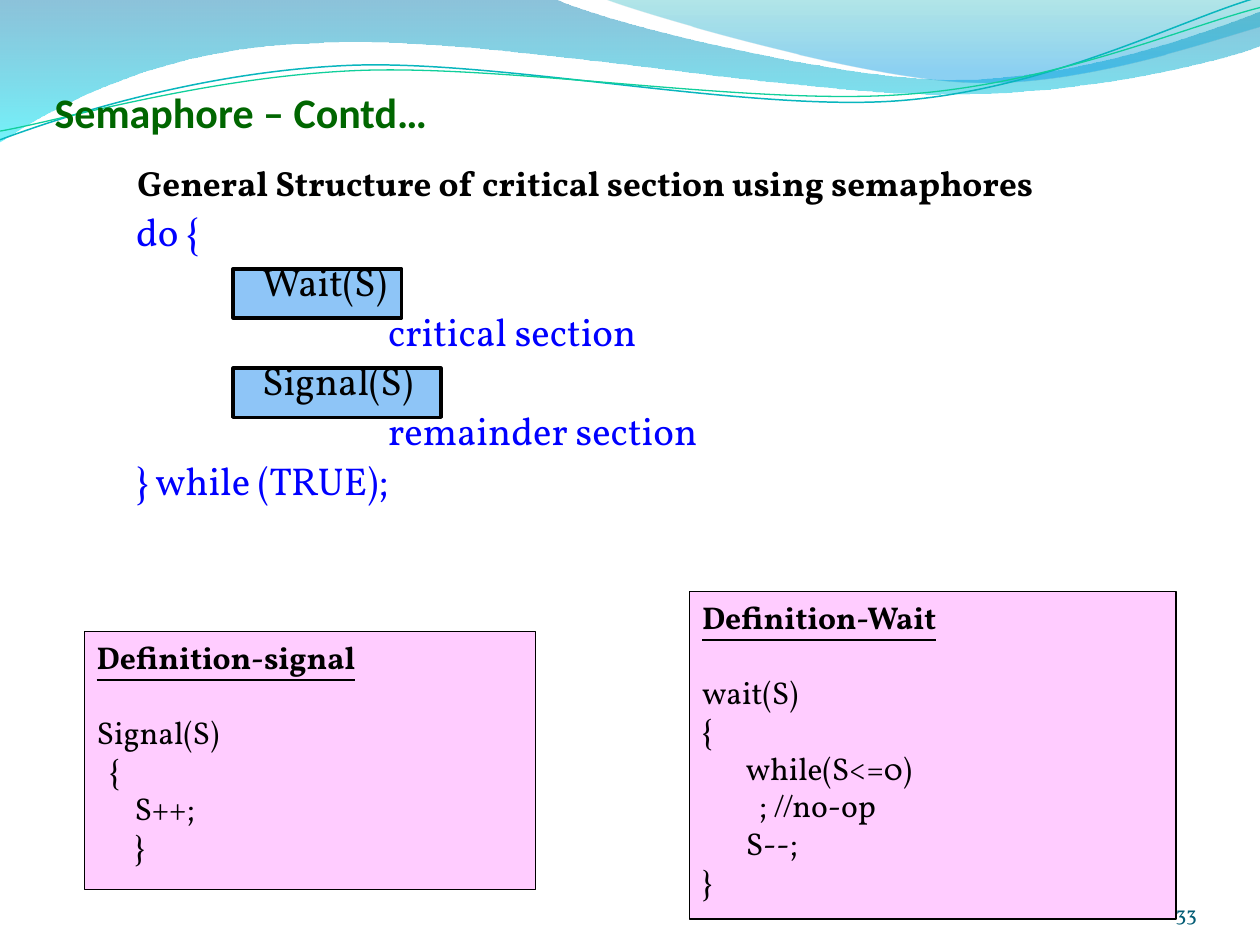
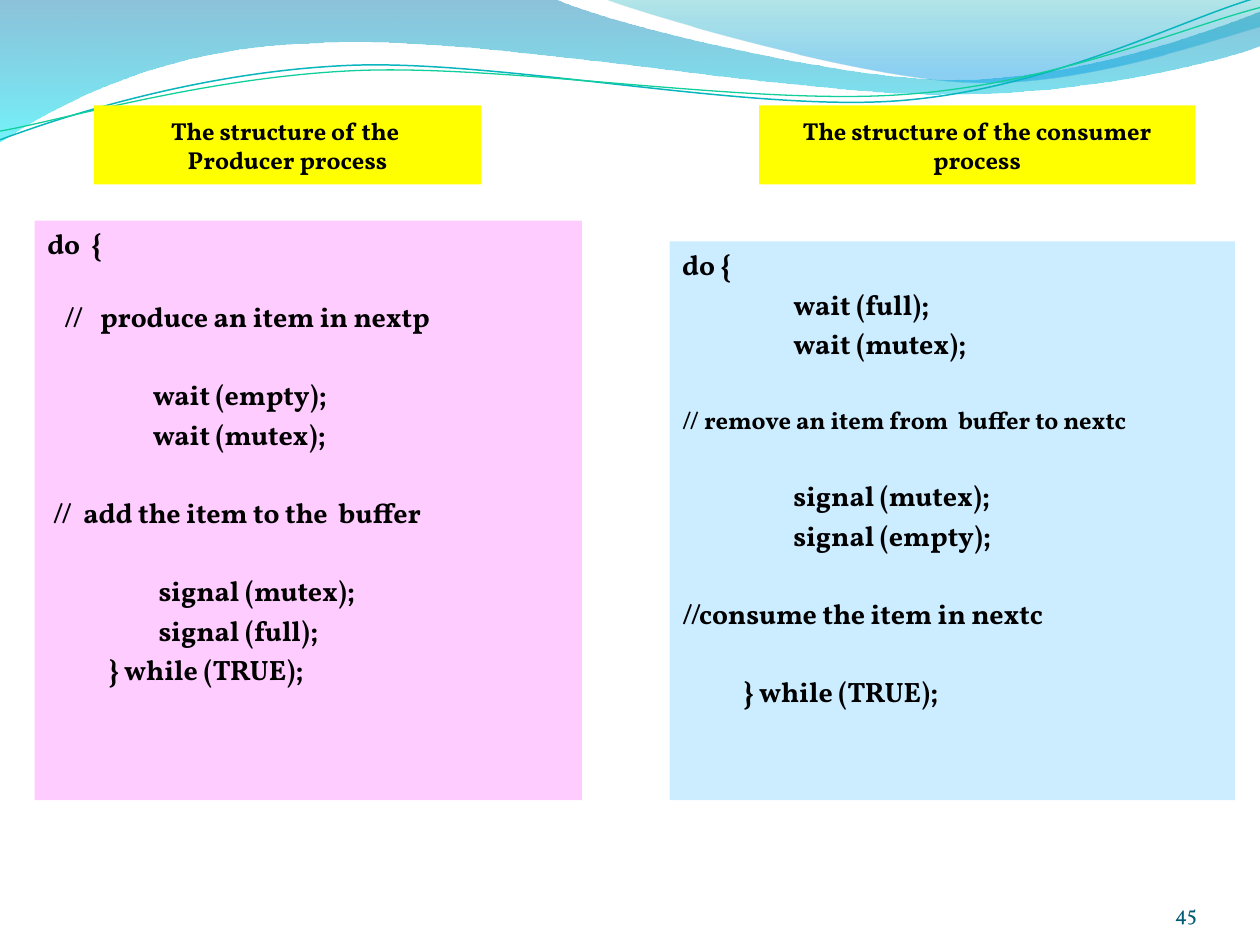
import pptx
import pptx.dml.color
import pptx.enum.shapes
import pptx.enum.text
import pptx.oxml.ns
import pptx.util
from lxml import etree

Pt = pptx.util.Pt
RGB = pptx.dml.color.RGBColor
ALIGN = pptx.enum.text.PP_ALIGN
ANCHOR = pptx.enum.text.MSO_ANCHOR
qn = pptx.oxml.ns.qn

BLACK = RGB(0x00, 0x00, 0x00)
GREEN = RGB(0x00, 0x66, 0x00)
BLUE = RGB(0x00, 0x00, 0xFF)
SKY = RGB(0x8E, 0xC5, 0xF7)
PINK = RGB(0xFF, 0xCC, 0xFF)
PALE = RGB(0xCC, 0xEC, 0xFF)
YELLOW = RGB(0xFF, 0xFF, 0x00)
SLATE = RGB(0x03, 0x5C, 0x75)
TEAL = RGB(0x09, 0xB6, 0xBE)
MINT = RGB(0x10, 0xCF, 0x9B)
NAVY = RGB(0x00, 0x79, 0xAD)
CYAN = RGB(0x00, 0xE9, 0xF7)
AQUA = RGB(0x00, 0xAB, 0xB4)
AZURE = RGB(0x00, 0x99, 0xE4)

# Points of each wave: a pair is a straight step, a six is a Bezier curve.
BAND = [(0, 0), (316.8, -0.7), (342.7, 12.2, 478.1, 45.4, 545.8, 45.4),
        (614.2, 45.4, 689.8, 18.7, 720, 6.5), (720.7, 25.9),
        (707.8, 31.7, 626.4, 54.7, 537.1, 54),
        (447.8, 54, 275, 20.2, 185, 24.5),
        (92.9, 25.9, 33.1, 59.8, -0.7, 81.4), (0, 0)]
FAN = [(344.9, -0.7), (366.5, 7.9, 491, 44.6, 553.7, 46.8),
       (616.3, 49.7, 691.9, 23, 720, 15.1), (720, 0), (344.9, -0.7)]
HIGH = [(0, 79.9), (34.6, 67, 113.8, 41, 199.4, 37.4),
        (284.4, 33.8, 427, 64.1, 513.4, 57.6),
        (599.8, 51.1, 675.4, 10.8, 718.6, -1.4)]
LOW = [(0, 74.9), (33.8, 69.1, 118.1, 43.9, 203.8, 40.3),
       (290.2, 36.7, 429.8, 60.5, 516.2, 54),
       (601.9, 48.2, 677.5, 15.1, 720, 4.3)]


def bend(shape, steps):
    """Join the three straight pieces of each six into one Bezier curve."""
    pieces = iter(shape.element.xpath(".//a:path/a:lnTo"))
    for step in steps[1:]:
        group = [next(pieces) for _ in range(len(step) // 2)]
        if len(group) == 3:
            curve = etree.Element(qn("a:cubicBezTo"))
            group[0].addprevious(curve)
            for piece in group:
                curve.append(piece[0])
                piece.getparent().remove(piece)


def write(shape, text, size=16, color=BLACK, font="Vollkorn", bold=False,
          under=False, align=ALIGN.LEFT, left=0, hang=0, gap=0, lead=1.0):
    """Add one paragraph; left and hang place it, gap is the space above."""
    frame = shape.text_frame
    para = frame.add_paragraph() if frame.text else frame.paragraphs[0]
    para.alignment = align
    para.line_spacing = lead
    para.space_before = Pt(gap)
    run = para.add_run()
    run.text = text
    face = run.font
    face.name, face.size, face.bold, face.underline = font, Pt(size), bold, under
    face.color.rgb = color
    props = shape.element.xpath(".//a:p/a:pPr")[-1]
    props.set("marL", str(Pt(left + hang)))
    props.set("indent", str(Pt(-hang)))
    etree.SubElement(props, qn("a:buNone"))


class Deck:
    def __init__(self):
        self.prs = pptx.Presentation()
        self.prs.slide_width, self.prs.slide_height = Pt(720), Pt(540)
        self.slide = None

    def start(self, layout, number):
        first = self.slide is None
        self.slide = self.prs.slides.add_slide(self.prs.slide_layouts[layout])
        if first:
            self.waves()
        self.number = number

    def waves(self):
        """Draw the header waves and hand them to the slide master."""
        self.wave(BAND, stops=[(0, NAVY, 45), (100, CYAN, 55)])
        self.wave(FAN, stops=[(0, AQUA, 30), (80, AZURE, 45), (100, AZURE, 45)])
        self.wave(HIGH, line=(TEAL, 0.85))
        self.wave(LOW, line=(MINT, 0.75))

    def wave(self, steps, stops=None, line=None):
        dots = [(Pt(step[i]), Pt(step[i + 1]))
                for step in steps for i in range(0, len(step), 2)]
        form = self.slide.shapes.build_freeform(*dots[0], scale=1.0)
        form.add_line_segments(dots[1:], close=bool(stops))
        shape = form.convert_to_shape()
        bend(shape, steps)
        self.paint(shape, None, line)
        if stops:
            self.blend(shape, stops)
        tree = self.prs.slide_master.shapes.element
        ident = shape.element.xpath(".//p:cNvPr")[0]
        ident.set("id", str(100 + len(tree)))
        tree.append(shape.element)

    def blend(self, shape, stops):
        """Fill downwards with (place, colour, opacity) stops."""
        shape.fill.gradient()
        grad = shape.element.xpath("./p:spPr/a:gradFill")[0]
        grad.find(qn("a:lin")).set("ang", "5400000")
        items = grad.find(qn("a:gsLst"))
        for old in list(items):
            items.remove(old)
        for place, color, alpha in stops:
            stop = etree.SubElement(items, qn("a:gs"), pos=str(place * 1000))
            tint = etree.SubElement(stop, qn("a:srgbClr"), val=str(color))
            etree.SubElement(tint, qn("a:alpha"), val=str(alpha * 1000))

    def paint(self, shape, fill, line):
        shape.shadow.inherit = False
        if fill is None:
            shape.fill.background()
        else:
            shape.fill.solid()
            shape.fill.fore_color.rgb = fill
        if line is None:
            shape.line.fill.background()
        else:
            shape.line.color.rgb, shape.line.width = line[0], Pt(line[1])

    def fit(self, shape, anchor=ANCHOR.TOP, inset=(7.2, 3.6, 7.2, 3.6)):
        frame = shape.text_frame
        frame.word_wrap = True
        frame.auto_size = pptx.enum.text.MSO_AUTO_SIZE.NONE
        frame.vertical_anchor = anchor
        (frame.margin_left, frame.margin_top,
         frame.margin_right, frame.margin_bottom) = map(Pt, inset)

    def fill(self, shape, lines, **base):
        """Write lines given as text or as (text, changes to the base format)."""
        for line in lines:
            text, more = (line, {}) if isinstance(line, str) else line
            write(shape, text, **{**base, **more})

    def rect(self, at, fill, line=None, lines=(), anchor=ANCHOR.TOP, **base):
        kind = pptx.enum.shapes.MSO_SHAPE.RECTANGLE
        shape = self.slide.shapes.add_shape(kind, *map(Pt, at))
        self.paint(shape, fill, line)
        self.fit(shape, anchor)
        self.fill(shape, lines, **base)

    def label(self, at, lines, anchor=ANCHOR.TOP, inset=(7.2, 3.6, 7.2, 3.6),
              **base):
        shape = self.slide.shapes.add_textbox(*map(Pt, at))
        self.fit(shape, anchor, inset)
        self.fill(shape, lines, **base)

    def move(self, shape, at):
        shape.left, shape.top, shape.width, shape.height = map(Pt, at)

    def title(self, text):
        shape = self.slide.shapes.title
        self.move(shape, (31.2, 31.7, 648, 46.8))
        self.fit(shape, ANCHOR.BOTTOM, (0, 3.6, 0, 0))
        write(shape, text, size=24, color=GREEN, font="Calibri", bold=True)

    def body(self, at, fill, lines, **base):
        shape = self.slide.placeholders[1]
        self.move(shape, at)
        shape.fill.solid()
        shape.fill.fore_color.rgb = fill
        self.fit(shape)
        self.fill(shape, lines, **base)

    def untitle(self):
        item = self.slide.shapes.title.element
        item.getparent().remove(item)

    def foot(self):
        self.label((624.2, 500.4, 59.8, 28.8), [str(self.number)], ANCHOR.BOTTOM,
                   (0, 0, 0, 0), size=12, color=SLATE, align=ALIGN.RIGHT)


def structure(deck):
    deck.start(5, 33)
    for top, width in ((210.4, 118.8), (153.6, 96.3)):
        deck.rect((133.2, top, width, 28.1), SKY, (BLACK, 2))
    deck.title("Semaphore – Contd…")
    call = dict(left=86.4, color=BLACK)
    part = dict(left=158.4)
    deck.label((56.3, 118.4, 449.3, 187.2), [
        ("do {", dict(gap=0)),
        ("Wait(S)", call),
        ("critical section", part),
        ("Signal(S)", call),
        ("remainder section", part),
        "} while (TRUE);",
    ], size=22.2, color=BLUE, left=14.4, gap=4.4, lead=0.9)
    deck.label((20, 95.8, 629.3, 17.3),
               ["General Structure of critical section using semaphores"],
               ANCHOR.MIDDLE, size=20, bold=True, align=ALIGN.CENTER)
    head = dict(bold=True, under=True)
    apart = dict(gap=21.5)
    deck.rect((394.1, 338, 277.9, 187.2), PINK, (BLACK, 0.75), [
        ("Definition-Wait", head),
        ("wait(S)", apart),
        "{",
        ("while(S<=0)", dict(left=25)),
        ("; //no-op", dict(left=32.5)),
        ("S--;", dict(left=25)),
        "}",
    ], size=18)
    deck.rect((48.2, 360.9, 257.8, 147.6), PINK, (BLACK, 0.75), [
        ("Definition-signal", head),
        ("Signal(S)", apart),
        ("{", dict(left=7.2)),
        ("S++;", dict(left=21.6)),
        ("}", dict(left=21.6)),
    ], size=18)
    deck.foot()


def process(deck):
    deck.start(1, 45)
    deck.untitle()
    code = dict(size=16, bold=True, gap=3.4)
    top = dict(gap=0)
    step = dict(left=60.3)
    deep = dict(left=63.6)
    last = dict(left=35)
    wide = 25.5
    deck.body((19.8, 126, 312.7, 331.2), PINK, [
        ("do  {", top),
        ("//\tproduce an item in nextp", dict(left=9.6, hang=20.6, gap=22.3)),
        ("wait (empty);", {**step, "gap": wide}),
        ("wait (mutex);", step),
        ("//\tadd the item to the  buffer", dict(left=3.2, hang=17.4, gap=wide)),
        ("signal (mutex);", {**deep, "gap": wide}),
        ("signal (full);", deep),
        ("} while (TRUE);", last),
    ], **code)
    deck.rect((382.7, 137.9, 323, 319.3), PALE, None, [
        ("do {", top),
        ("wait (full);", deep),
        ("wait (mutex);", deep),
        ("// remove an item from  buffer to nextc", dict(size=14, gap=wide)),
        ("signal (mutex);", {**deep, "gap": wide}),
        ("signal (empty);", deep),
        ("//consume the item in nextc", dict(gap=wide)),
        ("} while (TRUE);", {**last, "gap": wide}),
    ], **code)
    for left, width, lines in (
            (433.8, 249.1, ["The structure of the consumer process"]),
            (53.7, 221.3, ["The structure of the ", "Producer process"])):
        deck.rect((left, 60.2, width, 45.2), YELLOW, None, lines, ANCHOR.MIDDLE,
                  size=14, bold=True, align=ALIGN.CENTER)
    deck.foot()


def main():
    deck = Deck()
    structure(deck)
    process(deck)
    deck.prs.save("out.pptx")


if __name__ == "__main__":
    main()
